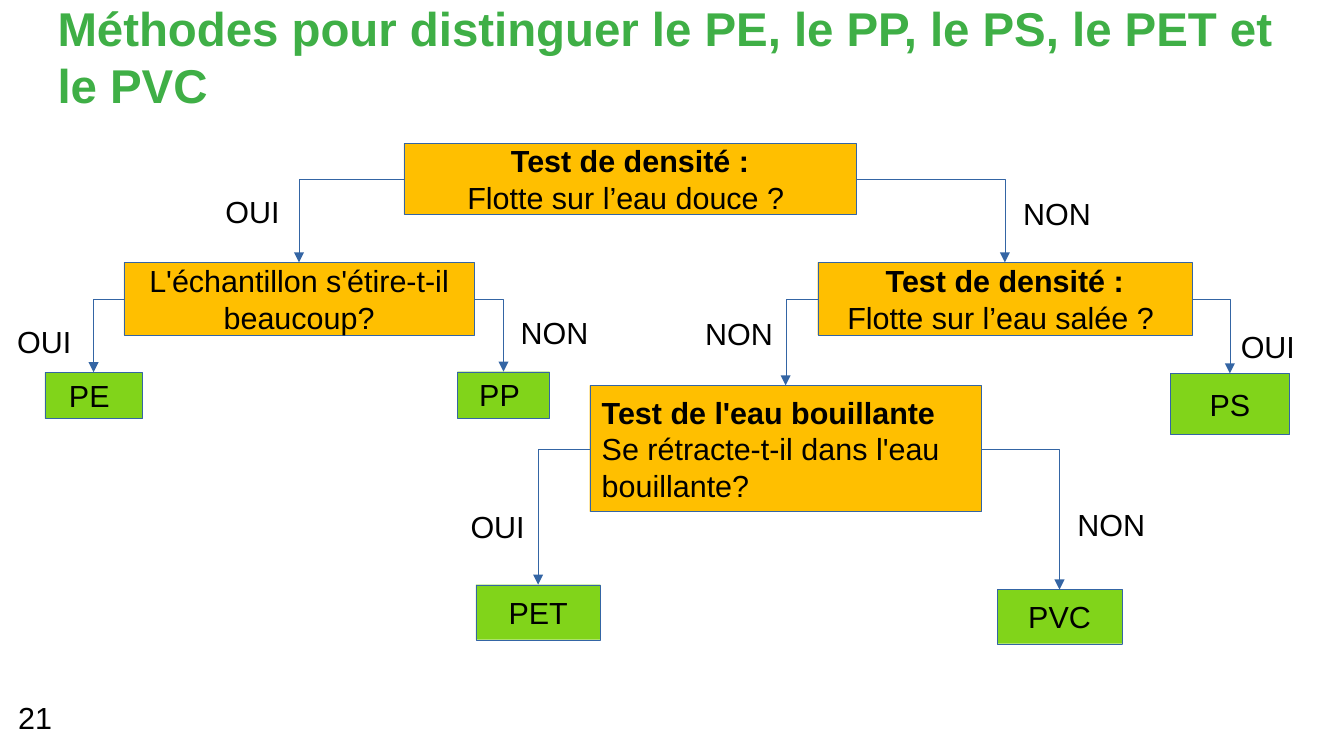
import pptx
import pptx.dml.color
import pptx.enum.shapes
import pptx.enum.text
import pptx.oxml
import pptx.oxml.ns
import pptx.util

Pt = pptx.util.Pt
LEFT = pptx.enum.text.PP_ALIGN.LEFT
CENTER = pptx.enum.text.PP_ALIGN.CENTER
MIDDLE = pptx.enum.text.MSO_ANCHOR.MIDDLE
ORANGE, GREEN, BLUE = "FFBF00", "81D41A", "3465A4"
HAIRLINE = Pt(0.1)


def rgb(color):
    return pptx.dml.color.RGBColor.from_string(color)


def write(tf, text, size=18, color="000000", bold=False, align=LEFT):
    """Fill the first paragraph of the frame, or add one if it is taken."""
    p = tf.paragraphs[0]
    if p.runs:
        p = tf.add_paragraph()
    p.alignment = align
    r = p.add_run()
    r.text = text
    r.font.name = "Arial"
    r.font.size = Pt(size)
    r.font.bold = bold
    r.font.color.rgb = rgb(color)


prs = pptx.Presentation()
prs.slide_width, prs.slide_height = Pt(793.5), Pt(446.5)
s = prs.slides.add_slide(prs.slide_layouts[6])

# Title and page number
tf = s.shapes.add_textbox(Pt(34), Pt(1.5), Pt(740), Pt(63)).text_frame
tf.word_wrap = True
tf.vertical_anchor = MIDDLE
tf.margin_left = tf.margin_top = tf.margin_right = tf.margin_bottom = 0
write(tf, "Méthodes pour distinguer le PE, le PP, le PS, le PET et le PVC",
      size=28, color="3FAF46", bold=True)
tf = s.shapes.add_textbox(Pt(3.6), Pt(409.5), Pt(302), Pt(34)).text_frame
tf.word_wrap = True
write(tf, "21")

# Tests and plastics: name, left, top, width, height, fill, alignment, heading, text
nodes = [
    ("douce", 238.5, 84.7, 267, 42, ORANGE, CENTER, "Test de densité :", "Flotte sur l’eau douce ? "),
    ("étire", 73.2, 155, 206.8, 43, ORANGE, CENTER, "", "L'échantillon s'étire-t-il beaucoup?"),
    ("salée", 482.8, 155, 221, 43, ORANGE, CENTER, "Test de densité :", "Flotte sur l’eau salée ? "),
    ("bouillante", 348.2, 227.7, 231.3, 74.5, ORANGE, LEFT, "Test de l'eau bouillante",
     "Se rétracte-t-il dans l'eau bouillante?"),
    ("PE", 26.5, 219.9, 57.5, 27.3, GREEN, CENTER, "", "PE "),
    ("PP", 270, 219.5, 54.5, 27.3, GREEN, CENTER, "", "PP "),
    ("PS", 691, 220.6, 70.2, 36, GREEN, CENTER, "", "PS"),
    ("PET", 281, 345.3, 73.5, 32.5, GREEN, CENTER, "", "PET"),
    ("PVC", 588.8, 348.2, 73.5, 32, GREEN, CENTER, "", "PVC"),
]
boxes = {}
for name, x, y, w, h, fill, align, heading, text in nodes:
    sp = s.shapes.add_shape(pptx.enum.shapes.MSO_SHAPE.RECTANGLE, Pt(x), Pt(y), Pt(w), Pt(h))
    sp.shadow.inherit = False
    sp.fill.solid()
    sp.fill.fore_color.rgb = rgb(fill)
    sp.line.color.rgb = rgb(BLUE)
    sp.line.width = HAIRLINE
    tf = sp.text_frame
    tf.word_wrap = True
    tf.vertical_anchor = MIDDLE
    if heading:
        write(tf, heading, bold=True, align=align)
    write(tf, text, align=align)
    boxes[name] = sp

# Answers: test, side it leaves from (1 left, 3 right), result, label, label left and top
answers = [
    ("douce", 1, "étire", "OUI", 126, 110.6),
    ("douce", 3, "salée", "NON", 597, 111.5),
    ("étire", 1, "PE", "OUI", 3, 187.5),
    ("étire", 3, "PP", "NON", 300.3, 182),
    ("salée", 1, "bouillante", "NON", 409.3, 182.7),
    ("salée", 3, "PS", "OUI", 725.5, 190.5),
    ("bouillante", 1, "PET", "OUI", 270.7, 296.5),
    ("bouillante", 3, "PVC", "NON", 629, 295.5),
]
for test, side, result, label, x, y in answers:
    a, b = boxes[test], boxes[result]
    line = s.shapes.add_connector(
        pptx.enum.shapes.MSO_CONNECTOR.ELBOW,
        a.left + (a.width if side == 3 else 0), a.top + a.height // 2,
        b.left + b.width // 2, b.top)
    line.begin_connect(a, side)
    line.end_connect(b, 0)
    line.line.color.rgb = rgb(BLUE)
    line.line.width = HAIRLINE
    spPr = line.element.spPr
    spPr.find(pptx.oxml.ns.qn("a:prstGeom")).set("prst", "bentConnector2")
    ln = spPr.find(pptx.oxml.ns.qn("a:ln"))
    ln.append(pptx.oxml.parse_xml(
        f'<a:tailEnd {pptx.oxml.ns.nsdecls("a")} type="triangle"/>'))
    spPr.append(pptx.oxml.parse_xml(f'<a:effectLst {pptx.oxml.ns.nsdecls("a")}/>'))

    tf = s.shapes.add_textbox(Pt(x), Pt(y), Pt(60), Pt(27.5)).text_frame
    tf.word_wrap = True
    write(tf, label)

prs.save("out.pptx")
